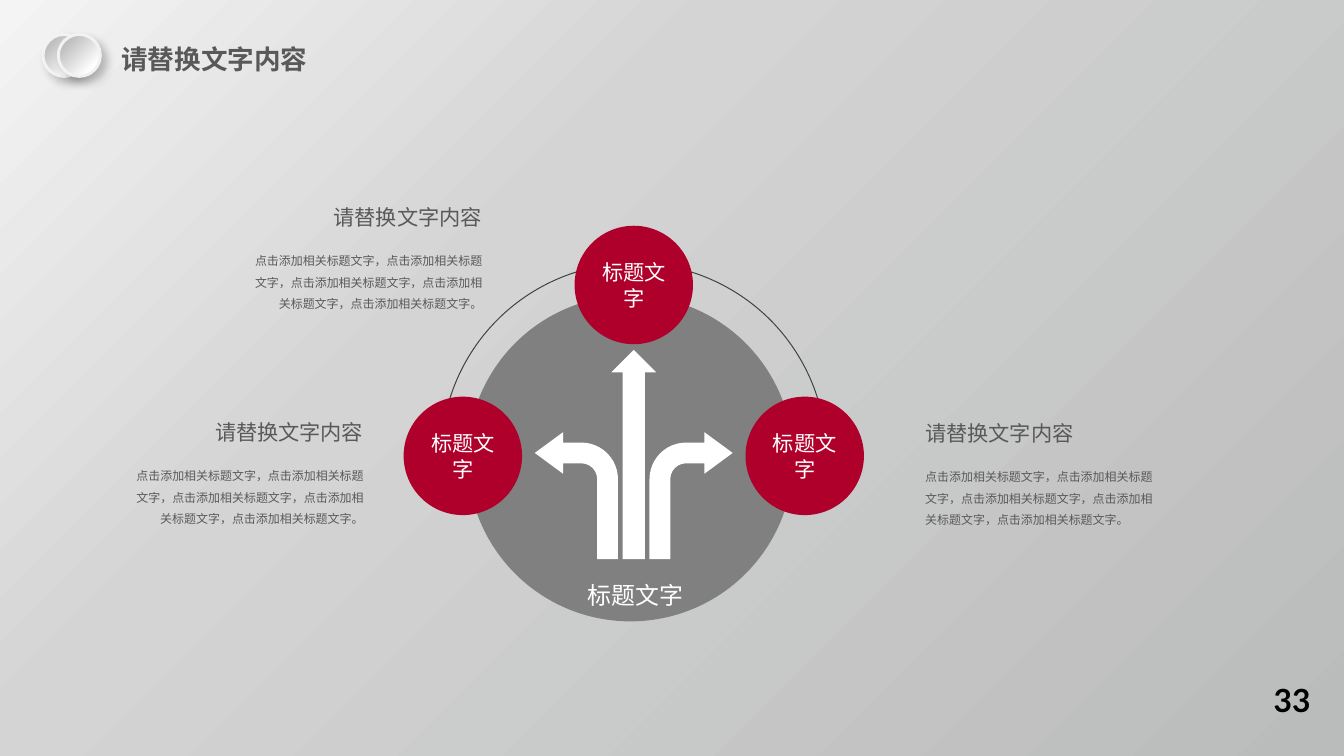
from dataclasses import dataclass
from math import cos, radians, sin
from typing import Optional

from lxml.etree import SubElement
from pptx import Presentation
from pptx.dml.color import RGBColor
from pptx.dml.fill import FillFormat
from pptx.enum.shapes import MSO_SHAPE
from pptx.enum.text import MSO_ANCHOR, MSO_AUTO_SIZE, PP_ALIGN
from pptx.oxml.ns import qn
from pptx.oxml.xmlchemy import BaseOxmlElement
from pptx.shapes.autoshape import Shape
from pptx.slide import Slide
from pptx.text.text import TextFrame
from pptx.util import Inches, Length, Pt

WIDTH, HEIGHT = 14.06, 7.91
COLUMNS, ROWS = 64, 36

WHITE = RGBColor(0xFF, 0xFF, 0xFF)
BLACK = RGBColor(0x00, 0x00, 0x00)
CRIMSON = RGBColor(0xAE, 0x00, 0x2B)
DISK_GRAY = RGBColor(0x80, 0x80, 0x80)
TEXT_GRAY = RGBColor(0x59, 0x59, 0x59)
ARC_GRAY = RGBColor(0x40, 0x40, 0x40)
RIM_GRAY = RGBColor(0xF2, 0xF2, 0xF2)
SILVER = RGBColor(0xBF, 0xBF, 0xBF)
MIST = RGBColor(0xF4, 0xF4, 0xF4)
CLOUD = RGBColor(0xD4, 0xD4, 0xD4)
STONE = RGBColor(0xBA, 0xBB, 0xBB)

HEADING = "请替换文字内容"
LABEL = "标题文字"
BODY = "，".join(["点击添加相关标题文字"] * 5) + "。"

HUB_COLUMN, HUB_ROW = 30.18, 21.71
ORBIT = 8.14
BADGE = 5.64
ARROW_FOOT = 26.63
BENT_OFFSET = 2.73
NOTE_WIDTH, HEADING_WIDTH = 11.74, 8.06


@dataclass(frozen=True)
class Area:
    column: float
    row: float
    columns: float
    rows: float

    def lengths(self) -> tuple[Length, Length, Length, Length]:
        across, down = WIDTH / COLUMNS, HEIGHT / ROWS
        return (Inches(self.column * across), Inches(self.row * down),
                Inches(self.columns * across), Inches(self.rows * down))


@dataclass(frozen=True)
class Note:
    edge: float
    row: float
    align: PP_ALIGN

    def left(self, width: float) -> float:
        return self.edge - width if self.align == PP_ALIGN.RIGHT else self.edge


NOTES = (
    Note(43.61, 19.8, PP_ALIGN.LEFT),
    Note(23.4, 9.51, PP_ALIGN.RIGHT),
    Note(17.75, 19.76, PP_ALIGN.RIGHT),
)
BADGE_ANGLES = (180, 0, 90)
RING_COLUMNS = (2.05, 2.78)


def centered(column: float, row: float, size: float) -> Area:
    return Area(column - size / 2, row - size / 2, size, size)


def write(frame: TextFrame, text: str, *, size: float, color: RGBColor,
          font: str = "Arial", bold: bool = False, align: PP_ALIGN = PP_ALIGN.LEFT,
          spacing: Optional[float] = None, wrap: bool = True, grow: bool = True,
          anchor: MSO_ANCHOR = MSO_ANCHOR.TOP) -> None:
    frame.word_wrap = wrap
    frame.auto_size = MSO_AUTO_SIZE.SHAPE_TO_FIT_TEXT if grow else MSO_AUTO_SIZE.NONE
    frame.vertical_anchor = anchor
    paragraph = frame.paragraphs[0]
    paragraph.alignment = align
    if spacing:
        paragraph.line_spacing = spacing
    run = paragraph.add_run()
    run.text = text
    run.font.name, run.font.size, run.font.bold = font, Pt(size), bold
    run.font.color.rgb = color


def text_frame(slide: Slide, area: Area) -> TextFrame:
    return slide.shapes.add_textbox(*area.lengths()).text_frame


def draw(slide: Slide, preset: MSO_SHAPE, area: Area, fill: Optional[RGBColor] = None,
         line: Optional[RGBColor] = None, weight: float = 0.75,
         adjust: tuple[float, ...] = ()) -> Shape:
    shape = slide.shapes.add_shape(preset, *area.lengths())
    shape.shadow.inherit = False
    for index, value in enumerate(adjust):
        shape.adjustments[index] = value
    if fill is None:
        shape.fill.background()
    else:
        shape.fill.solid()
        shape.fill.fore_color.rgb = fill
    if line is None:
        shape.line.fill.background()
    else:
        shape.line.color.rgb = line
        shape.line.width = Pt(weight)
    return shape


def shade(fill: FillFormat, owner: BaseOxmlElement,
          stops: tuple[tuple[int, RGBColor], ...]) -> None:
    fill.gradient()
    fill.gradient_angle = 315
    stop_list = next(owner.iter(qn("a:gsLst")))
    for stop in list(stop_list):
        stop_list.remove(stop)
    for position, color in stops:
        stop = SubElement(stop_list, qn("a:gs"), pos=str(position * 1000))
        SubElement(stop, qn("a:srgbClr"), val=str(color))


def cast_shadow(shape: Shape) -> None:
    effects = next(shape._element.iter(qn("a:effectLst")))
    shadow = SubElement(effects, qn("a:outerShdw"), blurRad=str(Pt(7)),
                        dist=str(Pt(5.9)), dir="2700000", algn="tl", rotWithShape="0")
    color = SubElement(shadow, qn("a:srgbClr"), val=str(BLACK))
    SubElement(color, qn("a:alpha"), val="23000")


def draw_crossroads(slide: Slide) -> None:
    draw(slide, MSO_SHAPE.ARC, centered(HUB_COLUMN, HUB_ROW, 18.35),
         line=ARC_GRAY, adjust=(108, 0))
    draw(slide, MSO_SHAPE.OVAL, centered(30.02, 21.83, 15.52), DISK_GRAY)
    draw(slide, MSO_SHAPE.UP_ARROW,
         Area(HUB_COLUMN - 1.07, ARROW_FOOT - 9.97, 2.14, 9.97), WHITE, adjust=(0.5, 0.5))
    for side in (1, -1):
        middle = HUB_COLUMN + side * BENT_OFFSET
        turn = draw(slide, MSO_SHAPE.BENT_ARROW,
                    Area(middle - 1.98, ARROW_FOOT - 6.05, 3.96, 6.05), WHITE,
                    adjust=(0.25, 0.25, 0.34, 0.44))
        if side < 0:
            turn._element.spPr.find(qn("a:xfrm")).set("flipH", "1")
    write(text_frame(slide, Area(26.49, 26.99, 7.51, 2.59)), LABEL, size=18, color=WHITE,
          align=PP_ALIGN.CENTER, spacing=1.1, grow=False, anchor=MSO_ANCHOR.MIDDLE)
    for angle in BADGE_ANGLES:
        column = HUB_COLUMN + ORBIT * cos(radians(angle))
        row = HUB_ROW - ORBIT * sin(radians(angle))
        frame = draw(slide, MSO_SHAPE.OVAL, centered(column, row, BADGE), CRIMSON).text_frame
        frame.margin_left = frame.margin_right = frame.margin_top = frame.margin_bottom = 0
        write(frame, LABEL, size=16, color=WHITE, align=PP_ALIGN.CENTER,
              grow=False, anchor=MSO_ANCHOR.MIDDLE)


def draw_note(slide: Slide, note: Note) -> None:
    write(text_frame(slide, Area(note.left(NOTE_WIDTH), note.row + 2, NOTE_WIDTH, 3.55)),
          BODY, size=9, color=TEXT_GRAY, align=note.align, spacing=1.5)
    write(text_frame(slide, Area(note.left(HEADING_WIDTH), note.row, HEADING_WIDTH, 1.68)),
          HEADING, size=16, color=TEXT_GRAY, font="Calibri", align=note.align, wrap=False)


def draw_title(slide: Slide) -> None:
    write(text_frame(slide, Area(5.33, 1.82, 9.88, 2)), HEADING, size=20,
          color=TEXT_GRAY, font="Calibri", bold=True, wrap=False)
    for column in RING_COLUMNS:
        ring = draw(slide, MSO_SHAPE.OVAL, Area(column, 1.64, 2, 2), line=RIM_GRAY, weight=2.25)
        shade(ring.fill, ring._element, ((20, SILVER), (80, WHITE), (100, WHITE)))
        cast_shadow(ring)


def main() -> None:
    deck = Presentation()
    deck.slide_width, deck.slide_height = Inches(WIDTH), Inches(HEIGHT)
    slide = deck.slides.add_slide(deck.slide_layouts[6])
    shade(slide.background.fill, slide._element, ((0, MIST), (35, CLOUD), (100, STONE)))
    draw_crossroads(slide)
    for note in NOTES:
        draw_note(slide, note)
    draw_title(slide)
    write(text_frame(slide, Area(60.18, 32.18, 2.69, 2.28)), "33", size=24,
          color=BLACK, font="Lato", bold=True, align=PP_ALIGN.CENTER)
    deck.save("out.pptx")


if __name__ == "__main__":
    main()
